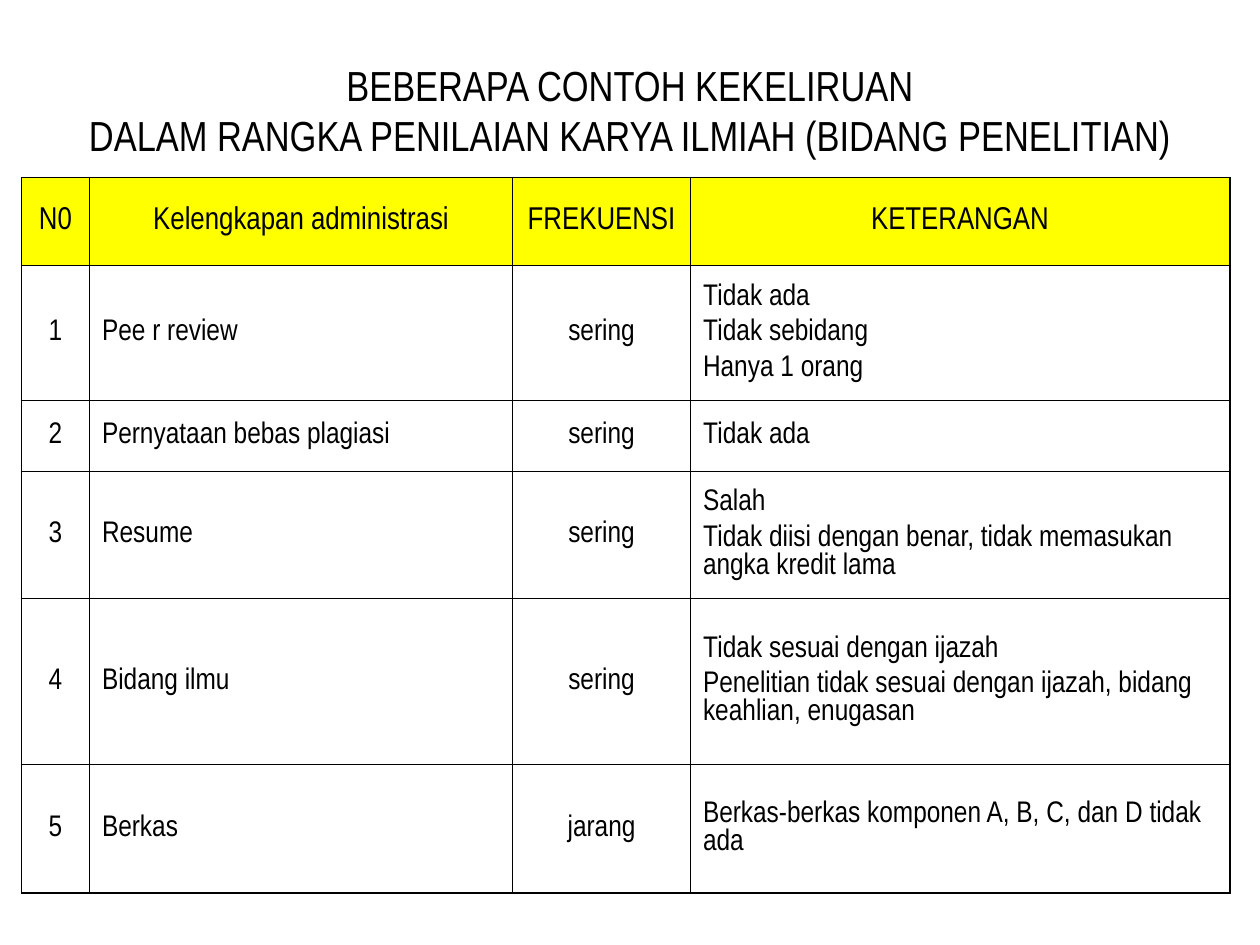
from dataclasses import dataclass

from lxml import etree
from pptx import Presentation
from pptx import util as u
from pptx.dml.color import RGBColor
from pptx.enum import text
from pptx.oxml.ns import qn

FONT = "Arial Narrow"
BLACK, YELLOW = "000000", "FFFF00"
THIN, THICK = 0.45, 1.08
COLUMNS = (0.54, 3.36, 1.41, 4.28)
CENTRED_COLUMNS = (0, 2)
TITLE = ("BEBERAPA CONTOH KEKELIRUAN\n"
         "DALAM RANGKA PENILAIAN KARYA ILMIAH (BIDANG PENELITIAN)")


@dataclass
class Row:
    height: float
    cells: tuple[str, str, str, str]
    header: bool = False


ROWS = [
    Row(0.7, ("N0", "Kelengkapan administrasi", "FREKUENSI", "KETERANGAN"), True),
    Row(1.07, ("1", "Pee r review", "sering",
               "Tidak ada\nTidak sebidang\nHanya 1 orang")),
    Row(0.56, ("2", "Pernyataan bebas plagiasi", "sering", "Tidak ada")),
    Row(1.01, ("3", "Resume", "sering",
               "Salah\nTidak diisi dengan benar, tidak memasukan angka kredit lama")),
    Row(1.32, ("4", "Bidang ilmu", "sering",
               "Tidak sesuai dengan ijazah\n"
               "Penelitian tidak sesuai dengan ijazah, bidang keahlian, enugasan")),
    Row(1.02, ("5", "Berkas", "jarang",
               "Berkas-berkas komponen A, B, C, dan D tidak ada")),
]


def colour(value: str) -> RGBColor:
    return RGBColor.from_string(value)


def style_text(frame, size: float, centred: bool, gap: float = 0) -> None:
    for index, para in enumerate(frame.paragraphs):
        para.alignment = text.PP_ALIGN.CENTER if centred else text.PP_ALIGN.LEFT
        para.line_spacing = 1.0
        para.space_before = u.Pt(gap if index else 0)
        for span in para.runs:
            span.font.name = FONT
            span.font.size = u.Pt(size)
            span.font.bold = False
            span.font.color.rgb = colour(BLACK)


def add_border(cell, side: str, width: float) -> None:
    line = etree.SubElement(cell._tc.get_or_add_tcPr(), qn(f"a:ln{side}"),
                            w=str(u.Pt(width)))
    fill = etree.SubElement(line, qn("a:solidFill"))
    etree.SubElement(fill, qn("a:srgbClr"), val=BLACK)


def add_title(page) -> None:
    title = page.shapes.title
    title.left, title.top = u.Inches(0), u.Inches(0.42)
    title.width, title.height = u.Inches(10), u.Inches(1.3)
    frame = title.text_frame
    frame.text = TITLE
    frame.word_wrap = True
    frame.auto_size = text.MSO_AUTO_SIZE.SHAPE_TO_FIT_TEXT
    frame.vertical_anchor = text.MSO_ANCHOR.TOP
    style_text(frame, 24, True)


def add_error_table(page) -> None:
    frame = page.shapes.add_table(
        len(ROWS), len(COLUMNS), u.Inches(0.17), u.Inches(1.41),
        u.Inches(sum(COLUMNS)), u.Inches(sum(row.height for row in ROWS)))
    table = frame.table
    table.horz_banding = False
    for column, width in zip(table.columns, COLUMNS):
        column.width = u.Inches(width)
    last_row, last_column = len(ROWS) - 1, len(COLUMNS) - 1
    for r, row in enumerate(ROWS):
        table.rows[r].height = u.Inches(row.height)
        for c, words in enumerate(row.cells):
            cell = table.cell(r, c)
            outer_edges = {"L": c == 0, "R": c == last_column,
                           "T": r == 0, "B": r == last_row}
            for side, outer in outer_edges.items():
                add_border(cell, side, THICK if outer else THIN)
            if row.header:
                cell.fill.solid()
                cell.fill.fore_color.rgb = colour(YELLOW)
            else:
                cell.fill.background()
            cell.vertical_anchor = text.MSO_ANCHOR.MIDDLE
            cell.text_frame.text = words
            style_text(cell.text_frame, 18 if row.header else 17,
                       row.header or c in CENTRED_COLUMNS, 4.2)


def main() -> None:
    deck = Presentation()
    deck.slide_width, deck.slide_height = u.Inches(10), u.Inches(7.5)
    page = deck.slides.add_slide(deck.slide_layouts.get_by_name("Title Only"))
    add_title(page)
    add_error_table(page)
    deck.save("out.pptx")


if __name__ == "__main__":
    main()
